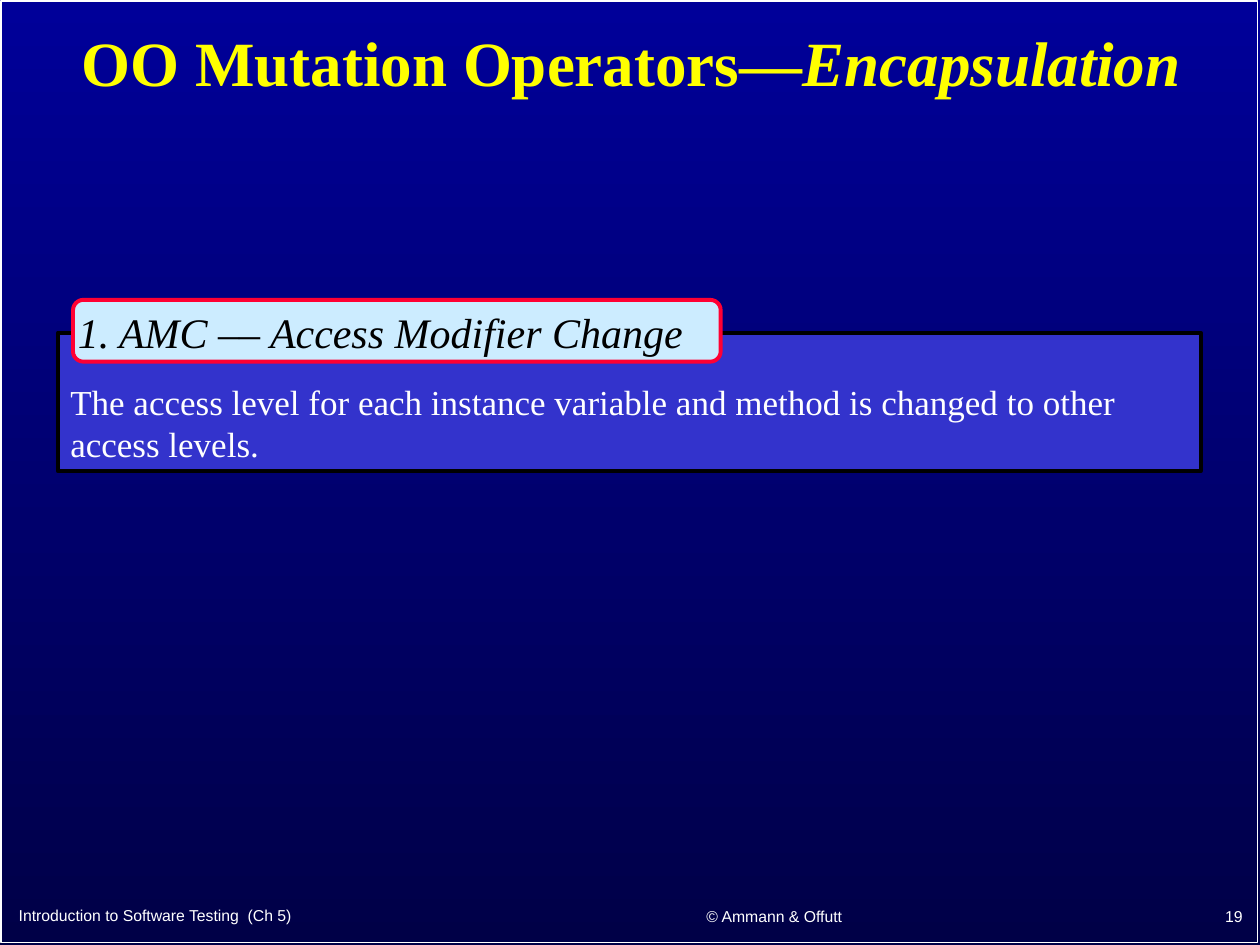
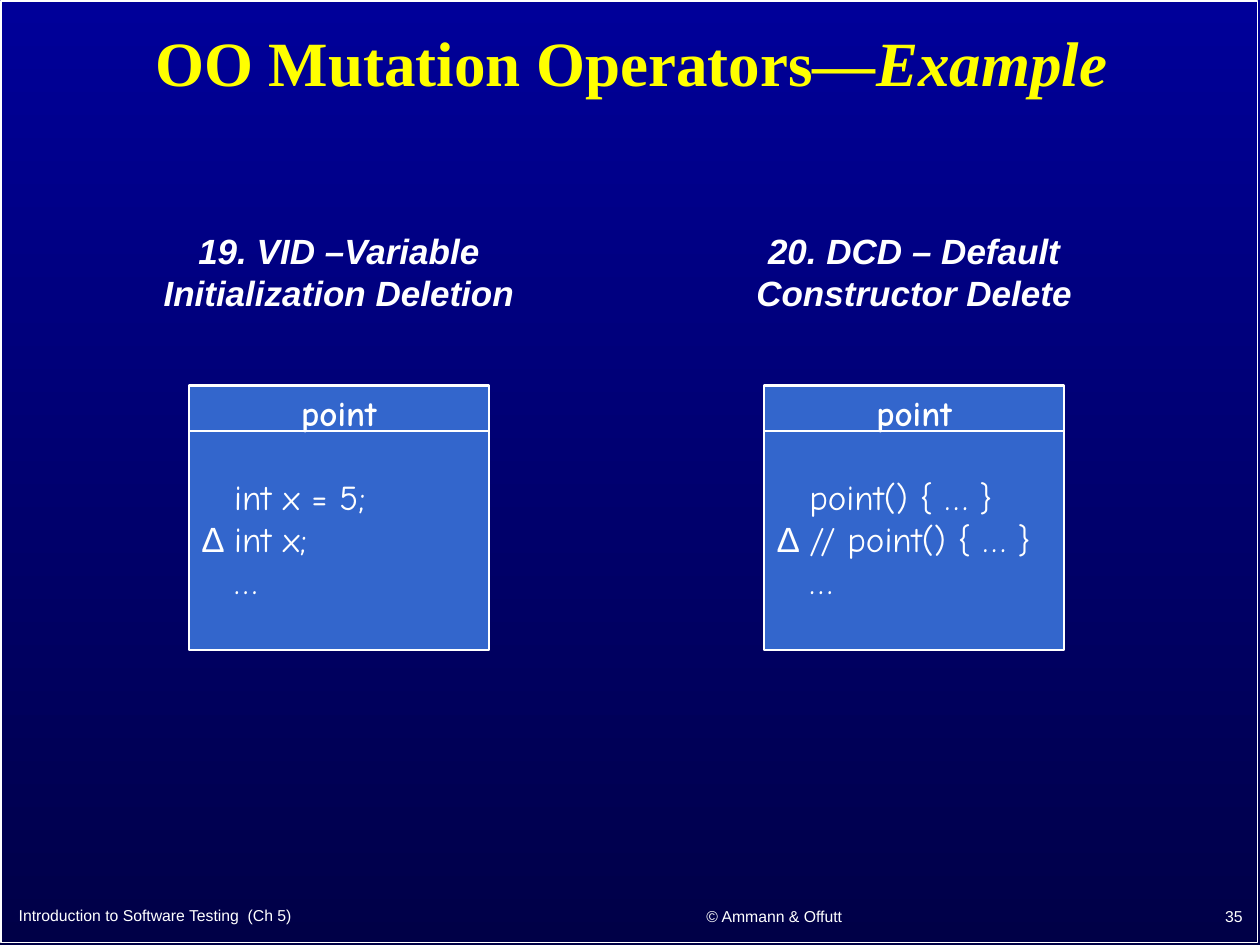
from collections import namedtuple

from lxml import etree
from pptx import Presentation
from pptx.dml.color import RGBColor
from pptx.enum.shapes import MSO_CONNECTOR, MSO_SHAPE
from pptx.enum.text import MSO_ANCHOR, MSO_AUTO_SIZE, PP_ALIGN
from pptx.oxml.ns import qn
from pptx.util import Inches, Pt

SLIDE_WIDTH, SLIDE_HEIGHT = Inches(10), Inches(7.5)
COLUMN, ROW = SLIDE_WIDTH // 100, SLIDE_HEIGHT // 75

WHITE = RGBColor(0xFF, 0xFF, 0xFF)
BLACK = RGBColor(0x00, 0x00, 0x00)
YELLOW = RGBColor(0xFF, 0xFF, 0x00)
RED = RGBColor(0xFF, 0x00, 0x33)
PALE_BLUE = RGBColor(0xCC, 0xEC, 0xFF)
PANEL_BLUE = RGBColor(0x33, 0x33, 0xCC)
CLASS_BLUE = RGBColor(0x33, 0x66, 0xCC)
BACKGROUND_TOP = RGBColor(0x00, 0x00, 0x99)
BACKGROUND_BOTTOM = RGBColor(0x00, 0x00, 0x47)

SERIF, SANS, HAND = "Times New Roman", "Arial", "Comic Neue"
TITLE_START = "OO Mutation Operators—"
FOOTER_LEFT = "Introduction to Software Testing  (Ch 5)"
FOOTER_CENTRE = "© Ammann & Offutt"

# Columns and rows of the slide grid
Box = namedtuple("Box", "left top width height")
SLIDE_FRAME = Box(0.1, 0.1, 99.7, 74.7)
TITLE_BOX = Box(1.9, 1.1, 96.4, 8.3)
FOOTER_BOX = Box(0.5, 71.1, 99.1, 3.1)


def place(box):
    return (round(box.left * COLUMN), round(box.top * ROW),
            round(box.width * COLUMN), round(box.height * ROW))


def style(font, name, size, color, bold=False, italic=False):
    font.name, font.size = name, Pt(size)
    font.bold, font.italic = bold, italic
    font.color.rgb = color


def add_panel(slide, box, fill, line, weight, preset=MSO_SHAPE.RECTANGLE):
    shape = slide.shapes.add_shape(preset, *place(box))
    shape.shadow.inherit = False
    if fill is None:
        shape.fill.background()
    else:
        shape.fill.solid()
        shape.fill.fore_color.rgb = fill
    shape.line.color.rgb = line
    shape.line.width = Pt(weight)
    shape.text_frame.vertical_anchor = MSO_ANCHOR.TOP
    return shape


def add_text(slide, box, text, name, size, color, align=PP_ALIGN.LEFT,
             anchor=MSO_ANCHOR.TOP, bold=False, italic=False):
    frame = slide.shapes.add_textbox(*place(box)).text_frame
    frame.word_wrap = True
    frame.vertical_anchor = anchor
    frame.text = text
    paragraph = frame.paragraphs[0]
    paragraph.alignment = align
    style(paragraph.runs[0].font, name, size, color, bold, italic)


def add_rule(slide, left, top, width, color, weight):
    x, y = round(left * COLUMN), round(top * ROW)
    rule = slide.shapes.add_connector(
        MSO_CONNECTOR.STRAIGHT, x, y, x + round(width * COLUMN), y)
    rule.line.color.rgb = color
    rule.line.width = Pt(weight)
    etree.SubElement(rule._element.spPr, qn("a:effectLst"))


def add_tab_stop(paragraph, position):
    tabs = etree.SubElement(paragraph._p.get_or_add_pPr(), qn("a:tabLst"))
    etree.SubElement(tabs, qn("a:tab"), pos=str(position), algn="l")


def fill_background(slide):
    fill = slide.background.fill
    fill.gradient()
    fill.gradient_angle = 270
    for stop, color, position in zip(
            fill.gradient_stops, (BACKGROUND_TOP, BACKGROUND_BOTTOM), (0, 1)):
        stop.color.rgb = color
        stop.position = position


def format_title(title, topic):
    title.left, title.top, title.width, title.height = place(TITLE_BOX)
    frame = title.text_frame
    frame.auto_size = MSO_AUTO_SIZE.NONE
    frame.vertical_anchor = MSO_ANCHOR.MIDDLE
    frame.text = TITLE_START
    paragraph = frame.paragraphs[0]
    paragraph.alignment = PP_ALIGN.CENTER
    paragraph.line_spacing = 0.9
    paragraph.add_run().text = topic
    for run, italic in zip(paragraph.runs, (False, True)):
        style(run.font, SERIF, 36, YELLOW, bold=True, italic=italic)


def add_footer(slide, box, number):
    parts = [
        (0, 42.4, FOOTER_LEFT, PP_ALIGN.LEFT, 0),
        (45.1, 31.7, FOOTER_CENTRE, PP_ALIGN.CENTER, 0.1),
        (78.3, 20.8, str(number), PP_ALIGN.RIGHT, 0.1),
    ]
    for offset, width, text, align, drop in parts:
        part = Box(box.left + offset, box.top + drop, width, box.height)
        add_text(slide, part, text, SANS, 9, WHITE, align, MSO_ANCHOR.MIDDLE)


def add_base_slide(presentation, topic, number):
    """Add a slide with the shared background, frame, title and footer."""
    slide = presentation.slides.add_slide(presentation.slide_layouts[5])
    fill_background(slide)
    add_panel(slide, SLIDE_FRAME, None, WHITE, 1)
    format_title(slide.shapes.title, topic)
    add_footer(slide, FOOTER_BOX, number)
    return slide


def add_definition(slide, box, name, description):
    """Add a description panel with its name on a tab over the top edge."""
    panel = add_panel(slide, box, PANEL_BLUE, BLACK, 2.25)
    frame = panel.text_frame
    frame.margin_top = Inches(0.38)
    frame.text = description
    paragraph = frame.paragraphs[0]
    paragraph.alignment = PP_ALIGN.LEFT
    style(paragraph.runs[0].font, SERIF, 20, WHITE)

    name_tab = Box(box.left + 1.2, box.top - 2.6, 51.4, 4.9)
    add_panel(slide, name_tab, PALE_BLUE, RED, 2.25,
              MSO_SHAPE.ROUNDED_RECTANGLE)
    label = name_tab._replace(left=name_tab.left - 0.6, width=52.4)
    add_text(slide, label, name, SERIF, 24, BLACK, italic=True)


def add_class_example(slide, box, heading, before, after):
    """Add a heading over a class box whose changed line is marked by Δ."""
    add_text(slide, box._replace(height=7.7), heading, SANS, 20, WHITE,
             PP_ALIGN.CENTER, bold=True, italic=True)
    class_width, class_height = 23.8, 21
    class_box = Box(box.left + (box.width - class_width) / 2,
                    box.top + box.height - class_height,
                    class_width, class_height)
    frame = add_panel(slide, class_box, CLASS_BLUE, WHITE, 1.5).text_frame
    frame.text = "point"
    name = frame.paragraphs[0]
    name.alignment = PP_ALIGN.CENTER
    style(name.runs[0].font, HAND, 20, WHITE, bold=True)

    for index, (mark, code) in enumerate([("", before), ("Δ", after), ("", "…")]):
        line = frame.add_paragraph()
        line.alignment = PP_ALIGN.LEFT
        if index == 0:
            line.space_before = Pt(24)
        add_tab_stop(line, Inches(0.26))
        for text, font_name in ((mark + "\t", SANS if mark else HAND), (code, HAND)):
            run = line.add_run()
            run.text = text
            style(run.font, font_name, 20, WHITE)
    add_rule(slide, class_box.left, class_box.top + 3.6, class_width, WHITE, 1.5)


def build_encapsulation_slide(presentation):
    slide = add_base_slide(presentation, "Encapsulation", 19)
    add_definition(
        slide, Box(4.6, 26.4, 90.7, 11), "1. AMC –– Access Modifier Change",
        "The access level for each instance variable and method is changed "
        "to other access levels.")


def build_example_slide(presentation):
    slide = add_base_slide(presentation, "Example", 35)
    add_class_example(
        slide, Box(8.75, 17.7, 36.3, 33.9),
        "19. VID –Variable Initialization Deletion", "int x = 5;", "int x;")
    add_class_example(
        slide, Box(53.8, 17.7, 37.5, 33.9),
        "20. DCD – Default Constructor Delete",
        "point() { … }", "// point() { … }")


def main():
    presentation = Presentation()
    presentation.slide_width = SLIDE_WIDTH
    presentation.slide_height = SLIDE_HEIGHT
    build_encapsulation_slide(presentation)
    build_example_slide(presentation)
    presentation.save("out.pptx")


if __name__ == "__main__":
    main()
